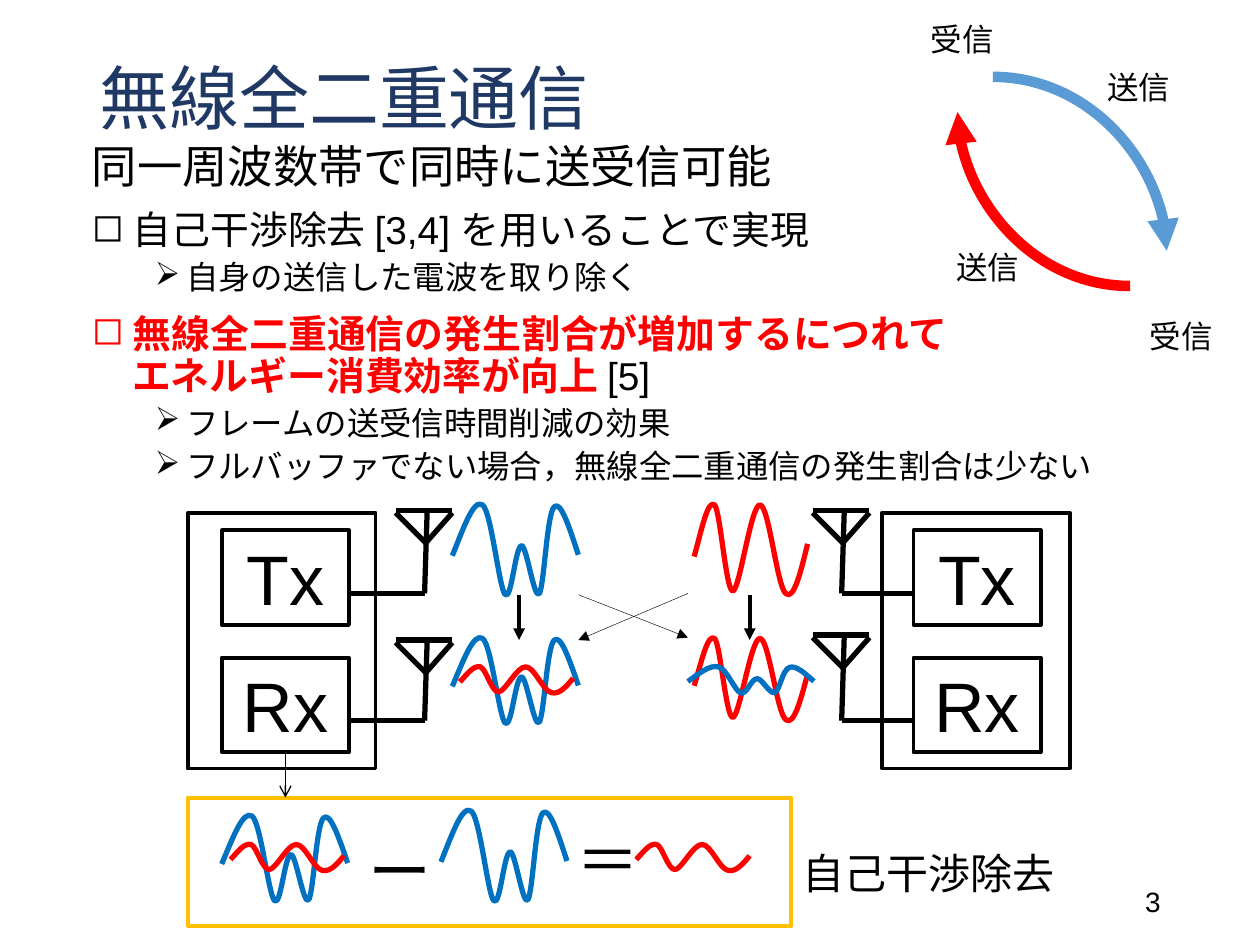
from lxml import etree
from pptx import Presentation
from pptx.dml.color import RGBColor
from pptx.enum.shapes import MSO_CONNECTOR as LINK, MSO_SHAPE as SHAPE
from pptx.enum.text import MSO_ANCHOR as ANCHOR, PP_ALIGN as ALIGN
from pptx.oxml.ns import qn
from pptx.util import Emu, Inches, Pt

COLS, ROWS = 100, 75
HUES = {"ink": "000000", "title": "203864", "red": "FF0000", "blue": "0070C0",
        "sky": "5B9BD5", "gold": "FFC000", "white": "FFFFFF"}
SANS, KANJI, SERIF = "Arial", "Noto Sans CJK JP", "Times New Roman"

# Signal curves in percent of their box: a start, then (control, control, end)
OWN = [(0, 57), [(9, 26), (17, -6), (24, 1)], [(31, 8), (37, 92), (42, 100)],
       [(47, 107), (50, 46), (55, 46)], [(59, 46), (65, 106), (69, 99)],
       [(73, 90), (75, 10), (81, 3)], [(86, -4), (93, 26), (100, 56)]]
PEER = [(0, 58), [(7, 26), (12, -5), (18, 1)], [(23, 7), (28, 96), (34, 96)],
        [(40, 96), (50, 1), (58, 1)], [(66, 1), (73, 92), (81, 99)],
        [(88, 106), (94, 75), (100, 44)]]


class Deck:
    def __init__(self):
        self.prs = Presentation()
        self.prs.slide_width, self.prs.slide_height = Inches(10), Inches(7.5)
        self.slide = self.prs.slides.add_slide(self.prs.slide_layouts[6])
        self.items = self.slide.shapes

    def x(self, col):
        return Emu(int(self.prs.slide_width * col / COLS))

    def y(self, row):
        return Emu(int(self.prs.slide_height * row / ROWS))

    def area(self, box):
        left, top, wide, high = box
        return self.x(left), self.y(top), self.x(wide), self.y(high)

    def hue(self, name):
        return RGBColor.from_string(HUES[name])

    def font(self, font, size, face, hue="ink"):
        font.size, font.name = Pt(size), face
        font.color.rgb = self.hue(hue)

    def stroke(self, line, hue, width):
        line.color.rgb = self.hue(hue)
        line.width = Pt(width)

    def text(self, box, words, size, face=KANJI, hue="ink",
             align=ALIGN.LEFT, anchor=ANCHOR.TOP):
        frame = self.items.add_textbox(*self.area(box)).text_frame
        frame.word_wrap, frame.vertical_anchor = True, anchor
        para = frame.paragraphs[0]
        para.text, para.alignment = words, align
        self.font(para.font, size, face, hue)
        return para

    def bullet(self, para, mark, margin):
        props = para._p.get_or_add_pPr()
        props.set("marL", str(Inches(margin)))
        props.set("indent", str(Inches(-0.25)))
        etree.SubElement(props, qn("a:buChar")).set("char", mark)

    def body(self, box, lead, points):
        first = self.text(box, lead, 25.9, SANS)
        first.line_spacing = 0.9
        frame = first._parent
        for level, runs in points:
            para = frame.add_paragraph()
            para.line_spacing = 0.9
            para.space_before = Pt(5 if level else 10)
            para.level = level
            self.bullet(para, "➢" if level else "◻", 0.75 if level else 0.25)
            self.font(para.font, 18.5 if level else 22.2, KANJI if level else SANS)
            for words, strong in runs:
                for i, part in enumerate(words.split("\n")):
                    if i:
                        para.add_line_break()
                    run = para.add_run()
                    run.text = part
                    if strong:
                        run.font.bold = True
                        run.font.color.rgb = self.hue("red")

    def rect(self, box, hue="ink", label=None):
        shape = self.items.add_shape(SHAPE.RECTANGLE, *self.area(box))
        shape.shadow.inherit = False
        self.stroke(shape.line, hue, 2.25)
        if label is None:
            shape.fill.background()
            return shape
        shape.fill.solid()
        shape.fill.fore_color.rgb = self.hue("white")
        frame = shape.text_frame
        frame.vertical_anchor = ANCHOR.MIDDLE
        para = frame.paragraphs[0]
        para.text, para.alignment = label, ALIGN.CENTER
        self.font(para.font, 40, SANS)
        return shape

    def line(self, start, end, width=3, hue="ink", head=None, kind=LINK.STRAIGHT):
        link = self.items.add_connector(
            kind, self.x(start[0]), self.y(start[1]), self.x(end[0]), self.y(end[1]))
        self.stroke(link.line, hue, width)
        if head:
            tail = etree.SubElement(link.line._get_or_add_ln(), qn("a:tailEnd"))
            tail.set("type", head)
        etree.SubElement(link._element.spPr, qn("a:effectLst"))
        return link

    def arc(self, start, end, hue):
        link = self.line(start, end, 6, hue, "triangle", LINK.CURVE)
        link._element.spPr.find(qn("a:prstGeom")).set("prst", "curvedConnector2")

    def wave(self, box, curve, hue):
        left, top, wide, high = self.area(box)

        def place(spot):
            return left + wide * spot[0] // 100, top + high * spot[1] // 100

        ends = [place(bend[2]) for bend in curve[1:]]
        pen = self.items.build_freeform(*place(curve[0]))
        pen.add_line_segments(ends, close=False)
        shape = pen.convert_to_shape()
        # Turn each straight segment into a cubic one
        for seg, bend in zip(list(shape._element.iter(qn("a:lnTo"))), curve[1:]):
            seg.tag = qn("a:cubicBezTo")
            for i, spot in enumerate(bend[:2]):
                px, py = place(spot)
                point = seg.makeelement(qn("a:pt"), {"x": str(px - shape.left),
                                                     "y": str(py - shape.top)})
                seg.insert(i, point)
        shape.shadow.inherit = False
        shape.fill.background()
        self.stroke(shape.line, hue, 3)

    def aerial(self, x, top, foot, edge):
        self.line((x - 2.5, top), (x + 2, top))
        self.line((x, top + 2.7), (x - 2.5, top + 0.2))
        self.line((x - 0.2, top + 2.7), (x + 2, top + 0.2))
        self.line((x - 0.2, foot), (x, top + 0.2))
        self.line((x - 0.2, foot), (edge, foot))


def main():
    deck = Deck()

    # Title, body and page number
    deck.text((6.9, 0.8, 86.2, 14.5), "無線全二重通信", 40, SANS, "title",
              anchor=ANCHOR.MIDDLE).line_spacing = 0.9
    deck.body((6.3, 11, 86.2, 29), "同一周波数帯で同時に送受信可能", [
        (0, [(" 自己干渉除去 [3,4] を用いることで実現", False)]),
        (1, [("自身の送信した電波を取り除く", False)]),
        (0, [(" 無線全二重通信の発生割合が増加するにつれて\n エネルギー消費効率が向上 ", True),
             ("[5]", False)]),
        (1, [("フレームの送受信時間削減の効果", False)]),
        (1, [("フルバッファでない場合，無線全二重通信の発生割合は少ない", False)])])
    deck.text((70.6, 69.5, 22.5, 4), "3", 16, SANS,
              align=ALIGN.RIGHT, anchor=ANCHOR.MIDDLE)

    # Two-way exchange
    deck.arc((89.7, 22.7), (76, 8.9), "red")
    deck.arc((78.8, 6.1), (92.6, 19.9), "sky")
    for x, y in ((74.9, 19.2), (86.9, 4.9)):
        deck.text((x, y, 9, 3.7), "送信", 18)
    for x, y in ((71.3, 1.1), (88.7, 24.7)):
        deck.text((x, y, 10.1, 3.7), "受信", 18, align=ALIGN.CENTER)

    # Stations with their aerials
    deck.rect((14.9, 63.3, 47.9, 10.2), "gold")
    stations = ((14.9, 17.6, 27.7, 33.9), (70, 72.5, 72.5, 67))
    for frame, unit, edge, mast in stations:
        deck.rect((unit, 42.1, 10.1, 7.5), label="Tx")
        rx = deck.rect((unit, 52.2, 10.1, 7.5), label="Rx")
        deck.rect((frame, 40.7, 14.9, 20.3))
        deck.aerial(mast, 40.5, 47.1, edge)
        deck.aerial(mast, 50.8 if mast < 50 else 50.4, 57.2, edge)
        if mast < 50:
            drop = deck.line((22.65, 59.7), (22.65, 63.3), 0.75, head="arrow")
            drop.begin_connect(rx, 2)

    # Signals on air, mixed signals and the subtraction
    for box, curve, hue in (
            ((35.9, 40, 10, 7.2), OWN, "blue"), ((55.1, 40, 9, 7.2), PEER, "red"),
            ((55.1, 50.6, 9, 6.6), PEER, "red"), ((35.9, 50.6, 10, 6.8), OWN, "blue"),
            ((54.6, 52.9, 10, 2.1), OWN, "blue"), ((36.5, 52.9, 9, 2.1), PEER, "red"),
            ((17.6, 64.7, 10, 6.8), OWN, "blue"), ((18.3, 67, 9, 2.1), PEER, "red"),
            ((35, 64.3, 10, 7.2), OWN, "blue"), ((50.5, 67, 9, 2.1), PEER, "red")):
        deck.wave(box, curve, hue)
    for x in (41.2, 59.5):
        deck.line((x, 47.2), (x, 50.8), 2.25, head="triangle")
    deck.line((54.6, 47.1), (45.9, 50.8), 0.25, head="triangle")
    deck.line((45.9, 47.2), (54.6, 50.6), 0.25, head="triangle")
    deck.text((28.3, 65.5, 8.8, 6.1), "ー", 36, SERIF)
    deck.text((44.8, 64.6, 8.8, 6.1), "＝", 36, SERIF)
    deck.text((62.7, 66.8, 22.3, 4.3), "自己干渉除去", 24, SERIF)

    deck.prs.save("out.pptx")


if __name__ == "__main__":
    main()
